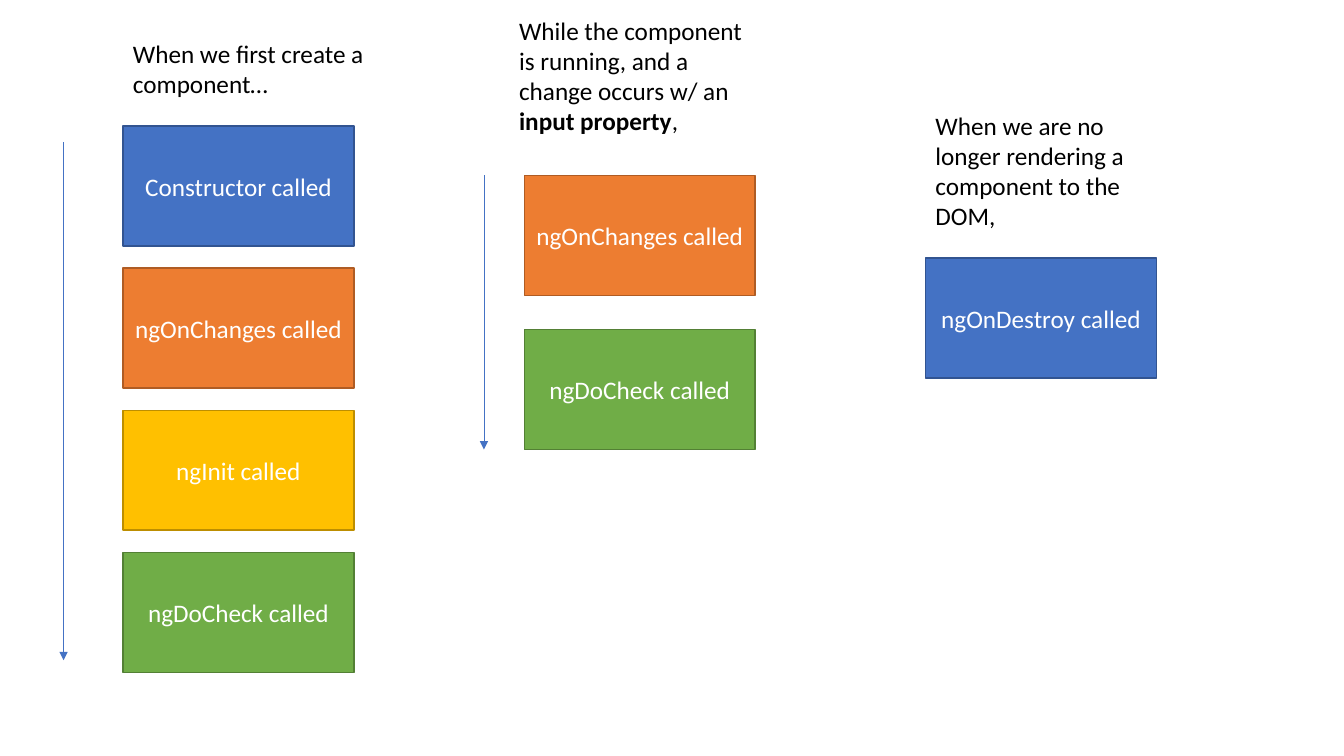
import pptx
import pptx.util
import pptx.dml.color
import pptx.enum.shapes
import pptx.enum.text
import pptx.oxml
import pptx.oxml.ns
from dataclasses import dataclass

Inches = pptx.util.Inches
Align = pptx.enum.text.PP_ALIGN
Anchor = pptx.enum.text.MSO_ANCHOR


@dataclass(frozen=True)
class Theme:
    font: str = "Calibri"
    size: int = 18
    edge: float = 1
    thin: float = 0.5
    dark: str = "000000"
    light: str = "FFFFFF"
    arrow: str = "4472C4"
    blue: tuple = ("4472C4", "325491")
    orange: tuple = ("ED7D31", "AF5C24")
    gold: tuple = ("FFC000", "BD8E00")
    green: tuple = ("70AD47", "538035")


def color(code):
    return pptx.dml.color.RGBColor.from_string(code)


def write(para, text, font, size, tint, bold=False):
    run = para.add_run()
    run.text = text
    run.font.name = font
    run.font.size = pptx.util.Pt(size)
    run.font.color.rgb = color(tint)
    run.font.bold = bold


class Deck:
    def __init__(self, slide, theme):
        self.slide = slide
        self.theme = theme

    def note(self, left, top, width, height, *parts):
        area = self.slide.shapes.add_textbox(
            Inches(left), Inches(top), Inches(width), Inches(height))
        frame = area.text_frame
        frame.word_wrap = True
        frame.auto_size = pptx.enum.text.MSO_AUTO_SIZE.SHAPE_TO_FIT_TEXT
        for text, bold in parts:
            write(frame.paragraphs[0], text, font=self.theme.font,
                  size=self.theme.size, tint=self.theme.dark, bold=bold)

    def box(self, left, top, text, pair):
        fill, edge = pair
        rect = self.slide.shapes.add_shape(
            pptx.enum.shapes.MSO_SHAPE.RECTANGLE,
            Inches(left), Inches(top), Inches(2.29), Inches(1.19))
        rect.shadow.inherit = False
        rect.fill.solid()
        rect.fill.fore_color.rgb = color(fill)
        rect.line.color.rgb = color(edge)
        rect.line.width = pptx.util.Pt(self.theme.edge)
        frame = rect.text_frame
        frame.word_wrap = True
        frame.vertical_anchor = Anchor.MIDDLE
        para = frame.paragraphs[0]
        para.alignment = Align.CENTER
        write(para, text, font=self.theme.font,
              size=self.theme.size, tint=self.theme.light)

    def stack(self, left, top, step, items):
        for row, (text, pair) in enumerate(items):
            self.box(left, top + row * step, text, pair)

    def arrow(self, left, top, end):
        line = self.slide.shapes.add_connector(
            pptx.enum.shapes.MSO_CONNECTOR.STRAIGHT,
            Inches(left), Inches(top), Inches(left), Inches(end))
        line.line.color.rgb = color(self.theme.arrow)
        line.line.width = pptx.util.Pt(self.theme.thin)
        tip = pptx.oxml.parse_xml(
            f'<a:tailEnd {pptx.oxml.ns.nsdecls("a")} type="triangle"/>')
        line.line._get_or_add_ln().append(tip)
        line._element.spPr.append(pptx.oxml.parse_xml(
            f'<a:effectLst {pptx.oxml.ns.nsdecls("a")}/>'))


show = pptx.Presentation()
show.slide_width = Inches(13.33)
show.slide_height = Inches(7.5)
theme = Theme()
deck = Deck(show.slides.add_slide(show.slide_layouts[6]), theme)

change = ("ngOnChanges called", theme.orange)
check = ("ngDoCheck called", theme.green)

deck.note(1.22, 0.33, 2.59, 0.71,
          ("When we first create a component…", False))
deck.stack(1.22, 1.25, 1.41, [
    ("Constructor called", theme.blue),
    change,
    ("ngInit called", theme.gold),
    check,
])
deck.arrow(0.63, 1.41, 6.55)

deck.note(5.05, 0.1, 2.59, 1.31,
          ("While the component is running, and a change occurs w/ an ", False),
          ("input property", True),
          (",", False))
deck.stack(5.2, 1.74, 1.53, [change, check])
deck.arrow(4.8, 1.74, 4.46)

deck.note(9.18, 1.04, 2.14, 1.31,
          ("When we are no longer rendering a component to the DOM,", False))
deck.box(9.18, 2.56, "ngOnDestroy called", theme.blue)

show.save("out.pptx")
